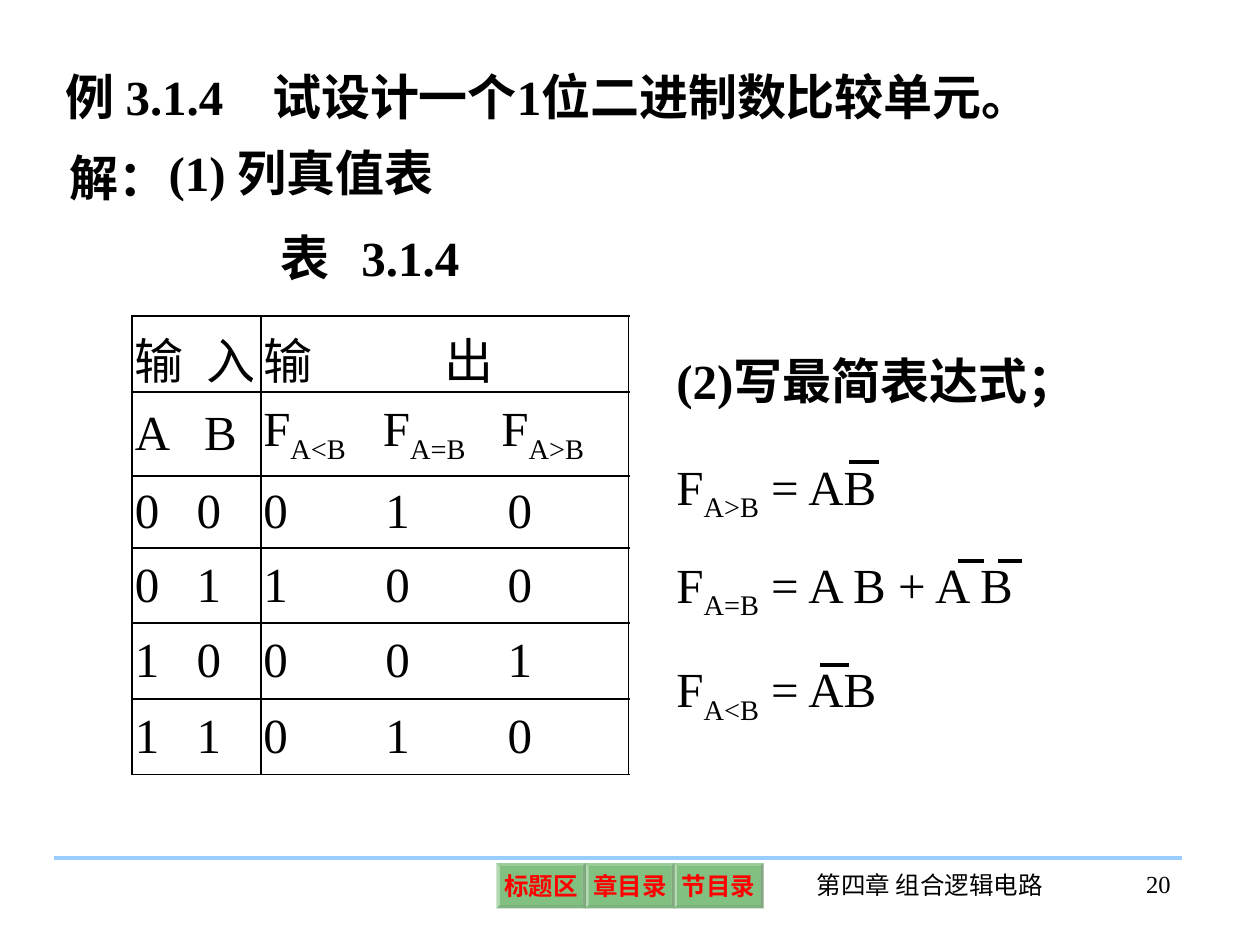
from lxml.etree import SubElement
from pptx import Presentation
from pptx.dml.color import RGBColor
from pptx.enum.shapes import MSO_CONNECTOR, MSO_SHAPE
from pptx.enum.text import MSO_ANCHOR, MSO_AUTO_SIZE, PP_ALIGN
from pptx.oxml.ns import qn
from pptx.util import Inches, Pt

BLACK = RGBColor(0, 0, 0)
RED = RGBColor(0xFF, 0, 0)
GREEN = RGBColor(0, 0x80, 0)
SKY = RGBColor(0x99, 0xCC, 0xFF)
FONT = "Times New Roman"


def write(frame, text, size=28, bold=False, color=BLACK, align=PP_ALIGN.LEFT, stops=()):
    """Fill a frame with one paragraph; every second part between bars is a subscript."""
    para = frame.paragraphs[0]
    para.alignment = align
    if stops:
        tabs = SubElement(para._p.get_or_add_pPr(), qn("a:tabLst"))
        for stop in stops:
            SubElement(tabs, qn("a:tab"), pos=str(Inches(stop)), algn="l")
    font = para.font
    font.name, font.size, font.bold = FONT, Pt(size), bold
    font.color.rgb = color
    for i, part in enumerate(text.split("|")):
        run = para.add_run()
        run.text = part
        if i % 2:
            run._r.get_or_add_rPr().set("baseline", "-25000")


def label(slide, box, text, **style):
    """Add a wrapped text box."""
    frame = slide.shapes.add_textbox(*map(Inches, box)).text_frame
    frame.word_wrap = True
    write(frame, text, **style)


def rule(slide, left, top, width, color=BLACK):
    """Draw a flat horizontal line."""
    ends = map(Inches, (left, top, left + width, top))
    line = slide.shapes.add_connector(MSO_CONNECTOR.STRAIGHT, *ends)
    line.line.color.rgb = color
    line.line.width = Pt(2.25)
    SubElement(line._element.spPr, qn("a:effectLst"))


def heading(slide, left, top):
    """Place the example title and the first solution step."""
    title = slide.shapes.title
    title.left, title.top = Inches(left), Inches(top)
    title.width, title.height = Inches(8.33), Inches(0.57)
    frame = title.text_frame
    frame.auto_size = MSO_AUTO_SIZE.NONE
    frame.vertical_anchor = MSO_ANCHOR.TOP
    write(frame, "例 3.1.4\t试设计一个1位二进制数比较单元。", bold=True, stops=[1.64])
    label(slide, (left + 0.03, top + 0.64, 1.29, 0.57), "解：", bold=True)
    label(slide, (left + 0.82, top + 0.6, 2.4, 0.57), "(1) 列真值表", bold=True)


def edge(cell):
    """Give a cell thin black borders and no fill."""
    props = cell._tc.get_or_add_tcPr()
    for side in ("lnL", "lnR", "lnT", "lnB"):
        line = SubElement(props, qn(f"a:{side}"), w=str(Pt(1.08)))
        fill = SubElement(line, qn("a:solidFill"))
        SubElement(fill, qn("a:srgbClr"), val=str(BLACK))
    cell.fill.background()


def truth(slide, left, top):
    """Place the truth table under its caption."""
    label(slide, (left + 1.08, top - 0.75, 2.09, 0.57), "表\t3.1.4", bold=True, stops=[0.64])
    rows = [("输\t入", "输\t出", [0.57], [1.44]),
            ("A\tB", "F|A<B|\tF|A=B|\tF|A>B", [0.55], [0.95, 1.89])]
    for ins, outs in (("00", "010"), ("01", "100"), ("10", "001"), ("11", "010")):
        rows.append(("\t".join(ins), "\t".join(outs), [0.49], [0.97, 1.94]))
    size = map(Inches, (left, top, 3.94, 3.61))
    table = slide.shapes.add_table(len(rows), 2, *size).table
    table.first_row = table.horz_banding = False
    for col, width in zip(table.columns, (1.02, 2.92)):
        col.width = Inches(width)
    for row, high, (ins, outs, near, far) in zip(
            table.rows, (0.6, 0.67, 0.54, 0.6, 0.6, 0.6), rows):
        row.height = Inches(high)
        for cell, text, stops in zip(row.cells, (ins, outs), (near, far)):
            cell.margin_left = cell.margin_right = Inches(0.02)
            cell.vertical_anchor = MSO_ANCHOR.MIDDLE
            edge(cell)
            write(cell.text_frame, text, stops=stops)


def logic(slide, left, top):
    """Place the expressions with their negation bars."""
    label(slide, (left, top, 3.46, 0.57), "(2)写最简表达式；", bold=True)
    lines = [(0.84, "F|A>B| = AB", [(1.47, 0.24)]),
             (1.62, "F|A=B| = A B + A B", [(2.33, 0.21), (2.65, 0.19)]),
             (2.45, "F|A<B| = AB", [(1.24, 0.23)])]
    for down, text, bars in lines:
        label(slide, (left, top + down, 3.9, 0.63), text)
        for start, width in bars:
            rule(slide, left + start, top + down + 0.1, width)


def button(slide, left, top, text):
    """Add one translucent bevelled button."""
    box = map(Inches, (left, top, 0.71, 0.36))
    shape = slide.shapes.add_shape(MSO_SHAPE.BEVEL, *box)
    shape.adjustments[0] = 0.07
    shape.shadow.inherit = False
    shape.fill.solid()
    shape.fill.fore_color.rgb = GREEN
    tint = shape._element.spPr.find(".//" + qn("a:srgbClr"))
    SubElement(tint, qn("a:alpha"), val="49000")
    shape.line.fill.background()
    frame = shape.text_frame
    frame.word_wrap = False
    frame.vertical_anchor = MSO_ANCHOR.MIDDLE
    frame.margin_left = frame.margin_right = Inches(0.04)
    frame.margin_top = frame.margin_bottom = Inches(0.04)
    write(frame, text, 14, True, RED, PP_ALIGN.CENTER)


def footer(slide, left, top):
    """Place the bottom rule, buttons, chapter name and page number."""
    rule(slide, left, top, 8.95, SKY)
    for i, text in enumerate(("标题区", "章目录", "节目录")):
        button(slide, left + 3.51 + 0.705 * i, top + 0.04, text)
    label(slide, (left + 5.81, top + 0.05, 2.28, 0.5), "第四章 组合逻辑电路",
          size=14, align=PP_ALIGN.CENTER)
    label(slide, (left + 8.1, top + 0.04, 0.86, 0.5), "20", size=14, align=PP_ALIGN.RIGHT)


def main():
    """Build and save the slide."""
    deck = Presentation()
    deck.slide_width, deck.slide_height = Inches(10), Inches(7.5)
    slide = deck.slides.add_slide(deck.slide_layouts[5])
    heading(slide, 0.42, 0.48)
    truth(slide, 1.05, 2.51)
    logic(slide, 5.27, 2.73)
    footer(slide, 0.43, 6.81)
    deck.save("out.pptx")


if __name__ == "__main__":
    main()
